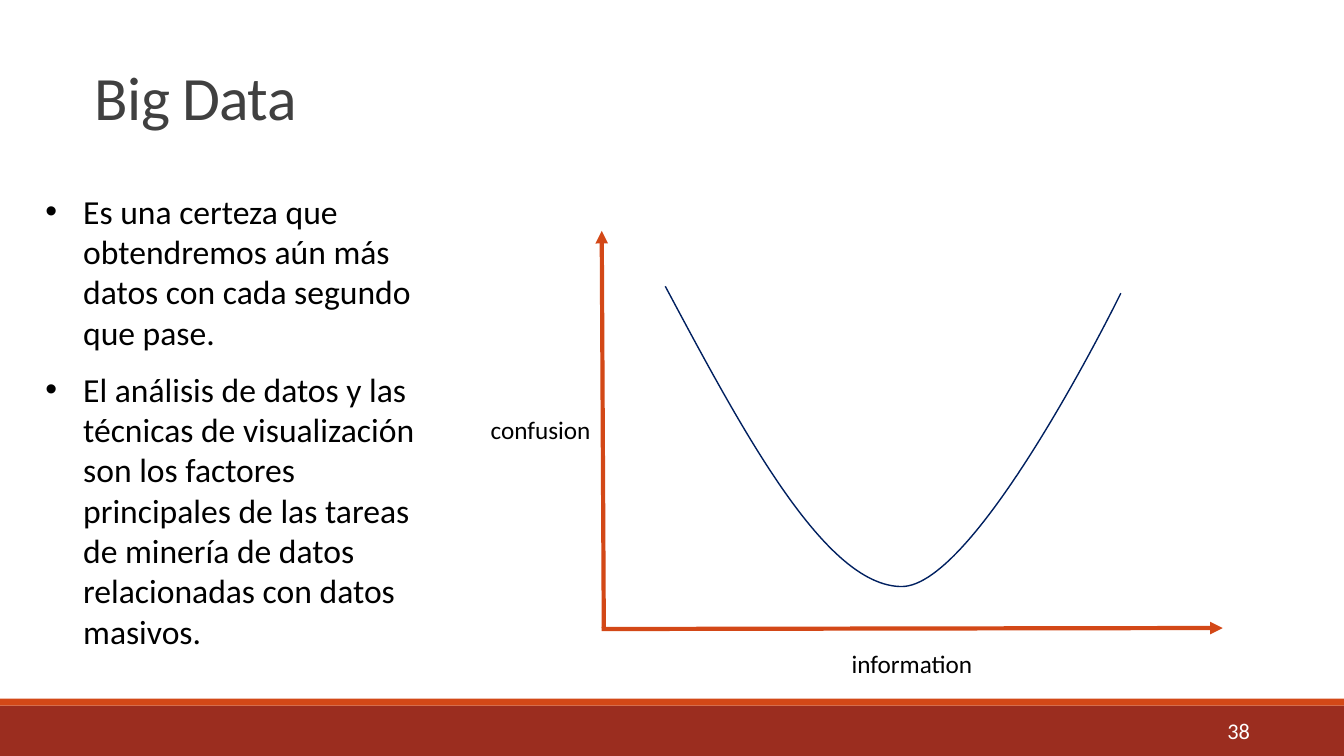
from lxml.etree import SubElement
from pptx import Presentation
from pptx.dml.color import RGBColor
from pptx.enum.shapes import MSO_CONNECTOR, MSO_SHAPE
from pptx.enum.text import MSO_ANCHOR, MSO_AUTO_SIZE, PP_ALIGN
from pptx.oxml.ns import qn
from pptx.util import Pt

COLORS = {
    "band": "9B2D1F",
    "accent": "D34817",
    "title": "404040",
    "text": "000000",
    "curve": "002060",
    "number": "FFFFFF",
}
FONT = "Calibri"
POINTS = [
    "Es una certeza que obtendremos aún más datos con cada segundo que pase.",
    "El análisis de datos y las técnicas de visualización son los factores "
    "principales de las tareas de minería de datos relacionadas con datos masivos.",
]


class Deck:
    """Holds the style and the slide being drawn; lengths are in points."""

    def __init__(self, width, height):
        self.prs = Presentation()
        self.prs.slide_width, self.prs.slide_height = Pt(width), Pt(height)
        self.slide = self.prs.slides.add_slide(self.prs.slide_layouts[1])
        self.shapes = self.slide.shapes

    def color(self, name):
        return RGBColor.from_string(COLORS[name])

    def style(self, para, size, color):
        font = para.font
        font.name, font.size = FONT, Pt(size)
        font.color.rgb = self.color(color)

    def place(self, shape, box):
        shape.left, shape.top, shape.width, shape.height = map(Pt, box)

    def bar(self, box, color):
        bar = self.shapes.add_shape(MSO_SHAPE.RECTANGLE, *map(Pt, box))
        bar.shadow.inherit = False
        bar.fill.solid()
        bar.fill.fore_color.rgb = self.color(color)
        bar.line.fill.background()

    def title(self, text, box):
        title = self.shapes.title
        self.place(title, box)
        frame = title.text_frame
        frame.text = text
        frame.auto_size = MSO_AUTO_SIZE.NONE
        frame.vertical_anchor = MSO_ANCHOR.TOP
        para = frame.paragraphs[0]
        para.alignment = PP_ALIGN.LEFT
        para.line_spacing = 0.85
        self.style(para, 44, "title")
        para._p.pPr.get_or_add_defRPr().set("spc", "-50")

    def bullets(self, items, box):
        body = self.slide.placeholders[1]
        self.place(body, box)
        frame = body.text_frame
        frame.text = "\n".join(items)
        frame.auto_size = MSO_AUTO_SIZE.NONE
        for i, para in enumerate(frame.paragraphs):
            props = para._p.get_or_add_pPr()
            props.set("marL", str(Pt(27)))
            props.set("indent", str(Pt(-27)))
            SubElement(props, qn("a:buFont")).set("typeface", "Arial")
            SubElement(props, qn("a:buChar")).set("char", "•")
            para.space_before = Pt(6 if i else 0)
            para.space_after = Pt(6)
            self.style(para, 24, "text")

    def label(self, text, box, size=18, color="text", wrap=False):
        frame = self.shapes.add_textbox(*map(Pt, box)).text_frame
        frame.text = text
        frame.word_wrap = wrap
        self.style(frame.paragraphs[0], size, color)
        return frame

    def number(self, text, box):
        frame = self.label(text, box, 16, "number", True)
        frame.vertical_anchor = MSO_ANCHOR.MIDDLE
        frame.paragraphs[0].alignment = PP_ALIGN.RIGHT

    def arrow(self, start, end):
        axis = self.shapes.add_connector(
            MSO_CONNECTOR.STRAIGHT, *map(Pt, start + end))
        axis.line.color.rgb = self.color("accent")
        axis.line.width = Pt(3)
        SubElement(axis.line._get_or_add_ln(), qn("a:tailEnd")).set("type", "triangle")
        SubElement(axis._element.spPr, qn("a:effectLst"))

    def curve(self, start, knots):
        """Draw an open Bézier curve; each three knots make one segment."""
        pen = self.shapes.build_freeform(*map(Pt, start))
        pen.add_line_segments([tuple(map(Pt, knot)) for knot in knots], close=False)
        curve = pen.convert_to_shape()
        curve.shadow.inherit = False
        curve.fill.background()
        curve.line.color.rgb = self.color("curve")
        curve.line.width = Pt(1)
        path = curve._element.find(".//" + qn("a:path"))
        lines = path.findall(qn("a:lnTo"))
        for i in range(0, len(lines), 3):
            bend = SubElement(path, qn("a:cubicBezTo"))
            for line in lines[i:i + 3]:
                bend.append(line[0])
                path.remove(line)

    def save(self):
        self.prs.save("out.pptx")


def main():
    deck = Deck(960, 540)
    deck.bar((0, 504, 960, 36), "band")
    deck.bar((0, 499, 960, 5), "accent")
    deck.number("38", (60.5, 509, 839.5, 25.2))
    deck.title("Big Data", (60.5, 46.8, 813, 67))
    deck.bullets(POINTS, (25.2, 132.5, 296, 339))
    deck.arrow((431.3, 448.6), (429.8, 164.9))
    deck.arrow((429.8, 449.3), (873.4, 448.6))
    deck.label("confusion", (343.4, 292.3, 86.4, 28.8))
    deck.label("information", (601.2, 459.4, 101.5, 28.8))
    deck.curve((475.2, 204.5), [
        (532, 311), (589.7, 418.3), (643.7, 419),
        (697.7, 419.8), (800.6, 209.5), (800.6, 209.5),
    ])
    deck.save()


if __name__ == "__main__":
    main()
